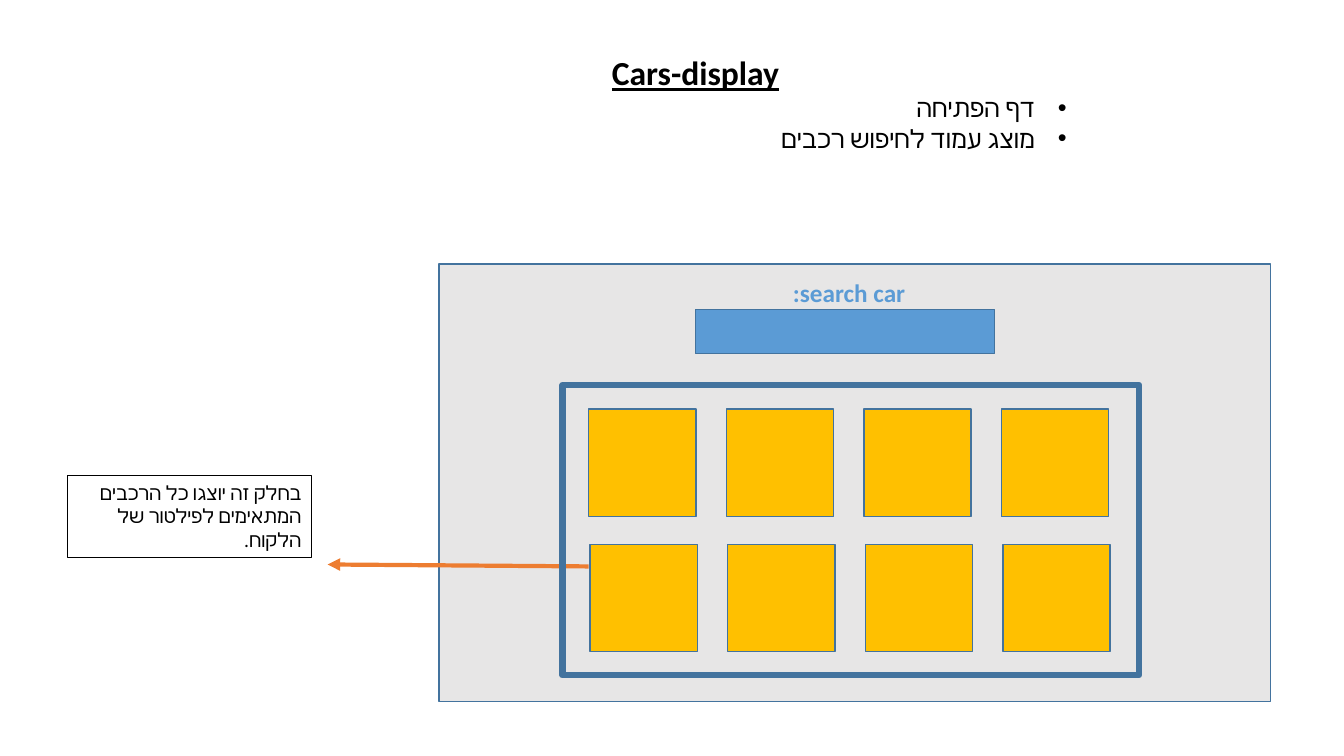
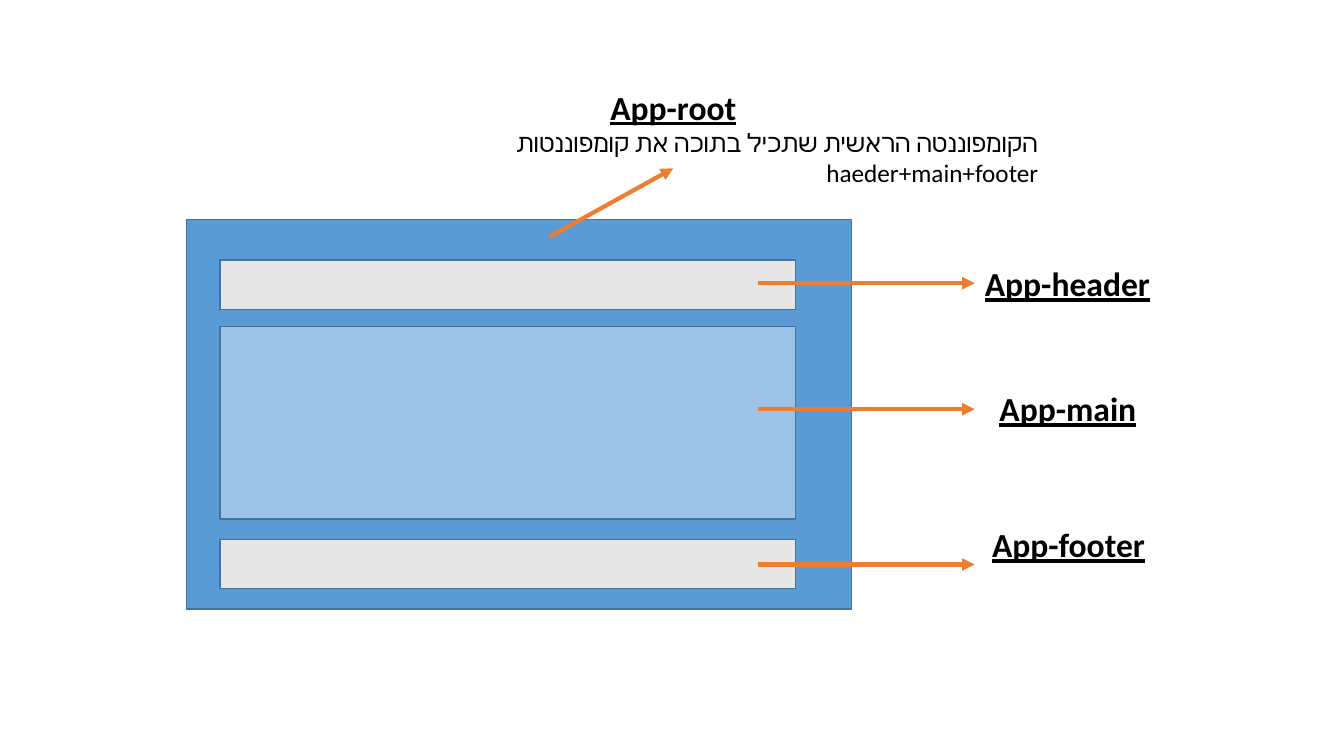
from lxml import etree
from pptx import Presentation
from pptx.dml.color import RGBColor
from pptx.enum.shapes import MSO_CONNECTOR, MSO_SHAPE
from pptx.enum.text import MSO_AUTO_SIZE, PP_ALIGN
from pptx.oxml.ns import qn
from pptx.util import Pt

RECT = MSO_SHAPE.RECTANGLE
STRAIGHT = MSO_CONNECTOR.STRAIGHT
CENTER, RIGHT = PP_ALIGN.CENTER, PP_ALIGN.RIGHT
GROW = MSO_AUTO_SIZE.SHAPE_TO_FIT_TEXT

BLACK = RGBColor(0x00, 0x00, 0x00)
GRAY = RGBColor(0xE7, 0xE6, 0xE6)
BLUE = RGBColor(0x5B, 0x9B, 0xD5)
LIGHT_BLUE = RGBColor(0x9D, 0xC3, 0xE6)
DARK_BLUE = RGBColor(0x43, 0x73, 0x9E)
GOLD = RGBColor(0xFF, 0xC0, 0x00)
ORANGE = RGBColor(0xED, 0x7D, 0x31)

FONT = "Calibri"
TITLE = dict(size=24, bold=True, underline=True, align=CENTER)


def write(p, text, size=18, color=BLACK, bold=False, underline=False,
          align=RIGHT, bullet=False):
    """Fill a right-to-left paragraph with one formatted run."""
    p.alignment = align
    pPr = p._p.get_or_add_pPr()
    pPr.set("rtl", "1")
    if bullet:
        indent = Pt(22.5)
        pPr.set("marL", str(indent))
        pPr.set("indent", str(-indent))
        etree.SubElement(pPr, qn("a:buFont"), typeface="Arial")
        etree.SubElement(pPr, qn("a:buChar"), char="•")
    r = p.add_run()
    r.text = text
    font = r.font
    font.name, font.size = FONT, Pt(size)
    font.bold, font.underline = bold, underline
    font.color.rgb = color
    etree.SubElement(r._r.get_or_add_rPr(), qn("a:cs"), typeface=FONT)


class Deck:
    """Shared style and the slide being drawn."""

    def __init__(self):
        """Start an empty widescreen presentation."""
        self.prs = Presentation()
        self.prs.slide_width, self.prs.slide_height = Pt(960), Pt(540)
        self.s = None

    def slide(self):
        """Add a blank slide and make it current."""
        self.s = self.prs.slides.add_slide(self.prs.slide_layouts[6])

    def box(self, x, y, w, h, fill=None, weight=1):
        """Draw an outlined rectangle, hollow without a fill."""
        sp = self.s.shapes.add_shape(RECT, Pt(x), Pt(y), Pt(w), Pt(h))
        sp.shadow.inherit = False
        if fill is None:
            sp.fill.background()
        else:
            sp.fill.solid()
            sp.fill.fore_color.rgb = fill
        sp.line.color.rgb = DARK_BLUE
        sp.line.width = Pt(weight)

    def text(self, x, y, w, h, *paragraphs, wrap=False, border=False):
        """Add a text box; each paragraph is a (text, format) pair."""
        sp = self.s.shapes.add_textbox(Pt(x), Pt(y), Pt(w), Pt(h))
        if border:
            sp.line.color.rgb = BLACK
            sp.line.width = Pt(0.75)
        tf = sp.text_frame
        tf.word_wrap = wrap
        tf.auto_size = GROW
        for i, (text, style) in enumerate(paragraphs):
            p = tf.add_paragraph() if i else tf.paragraphs[0]
            write(p, text, **style)

    def arrow(self, x1, y1, x2, y2):
        """Draw an orange arrow pointing at (x2, y2)."""
        c = self.s.shapes.add_connector(STRAIGHT, Pt(x1), Pt(y1), Pt(x2), Pt(y2))
        c.line.color.rgb = ORANGE
        c.line.width = Pt(3)
        etree.SubElement(c.line._get_or_add_ln(), qn("a:tailEnd"), type="triangle")
        etree.SubElement(c._element.spPr, qn("a:effectLst"))


def cars_display(deck):
    """Car search page with its grid of results."""
    deck.slide()
    deck.box(313.6, 188.6, 594, 312.5, GRAY)
    bullet = dict(bullet=True)
    deck.text(203.8, 62.6, 565.2, 72.7,
              ("דף הפתיחה", bullet), ("מוצג עמוד לחיפוש רכבים", bullet), wrap=True)
    deck.text(429.1, 33.8, 135.4, 36, ("Cars-display", TITLE))

    deck.box(496.8, 221, 213.8, 31.7, BLUE)
    deck.text(558.7, 194.4, 95, 51.1, ("search car:", dict(color=BLUE, bold=True)))

    card, left, top = 76.6, 420.5, 292.3
    for row in range(2):
        for col in range(4):
            deck.box(left + 98.3 * col + row, top + 96.5 * row, card, card, GOLD)
    deck.arrow(left, 404.6, 234, 403.2)
    deck.box(401.8, 275, 411.8, 207.4, weight=4.5)
    deck.text(48.2, 339.8, 174.2, 58.3,
              ("בחלק זה יוצגו כל הרכבים המתאימים לפילטור של הלקוח.", dict(size=14)),
              wrap=True, border=True)


def app_root(deck):
    """Root component and the three parts it holds."""
    deck.slide()
    deck.box(133.2, 157, 475.2, 277.9, BLUE)
    deck.text(213.1, 58.3, 535.7, 58.3, ("App-root", TITLE),
              ("הקומפוננטה הראשית שתכיל בתוכה את קומפוננטות haeder+main+footer", {}),
              wrap=True)
    deck.arrow(392.4, 169.2, 481, 120.2)

    parts = [  # name, top, height, fill, arrow y, label left, top, width
        ("App-header", 185.8, 35.3, GRAY, 202.3, 695.5, 184.3, 133.9),
        ("App-main", 233.3, 137.5, LIGHT_BLUE, 292.3, 706.3, 273.6, 113),
        ("App-footer", 385.2, 35.3, GRAY, 403.2, 700.6, 370.8, 125.3),
    ]
    for name, top, height, fill, arrow_y, label_x, label_y, label_w in parts:
        deck.box(157, top, 411.1, height, fill)
        deck.arrow(541.4, arrow_y, 696.2, arrow_y)
        deck.text(label_x, label_y, label_w, 36, (name, TITLE))


deck = Deck()
cars_display(deck)
app_root(deck)
deck.prs.save("out.pptx")
